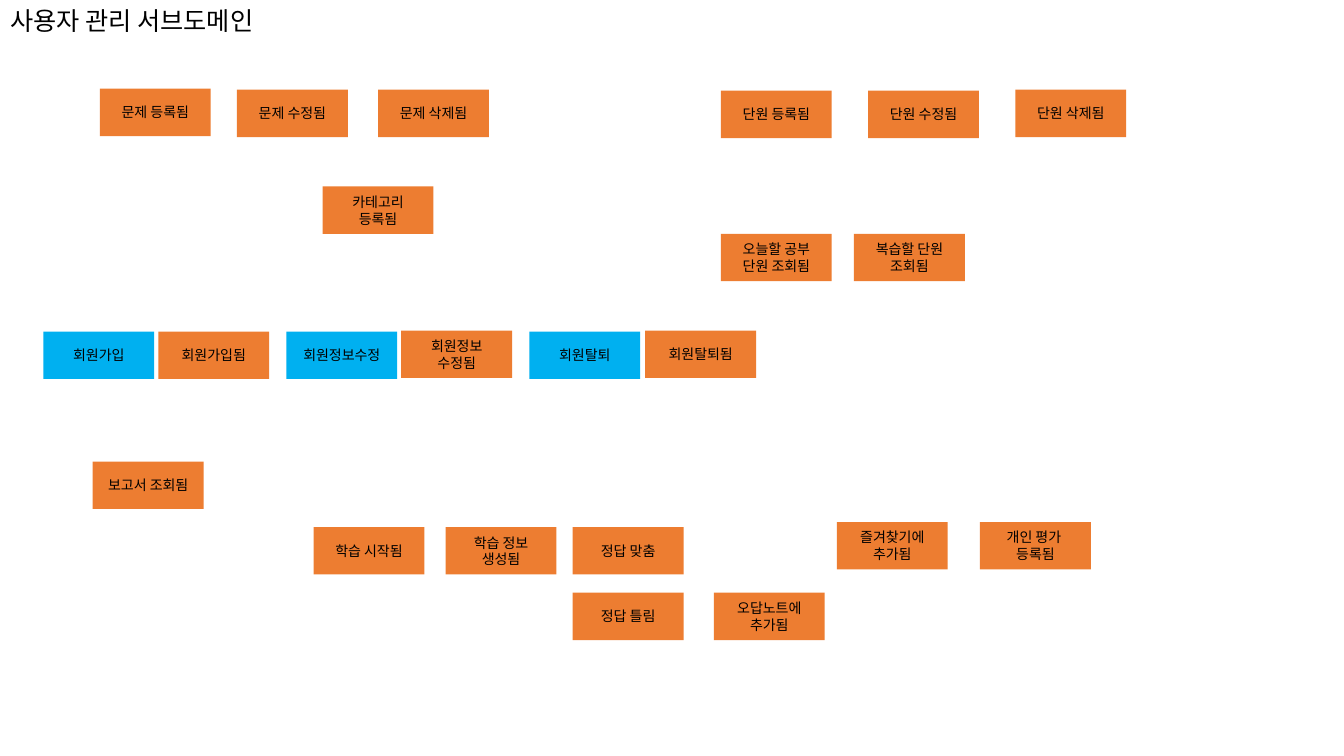
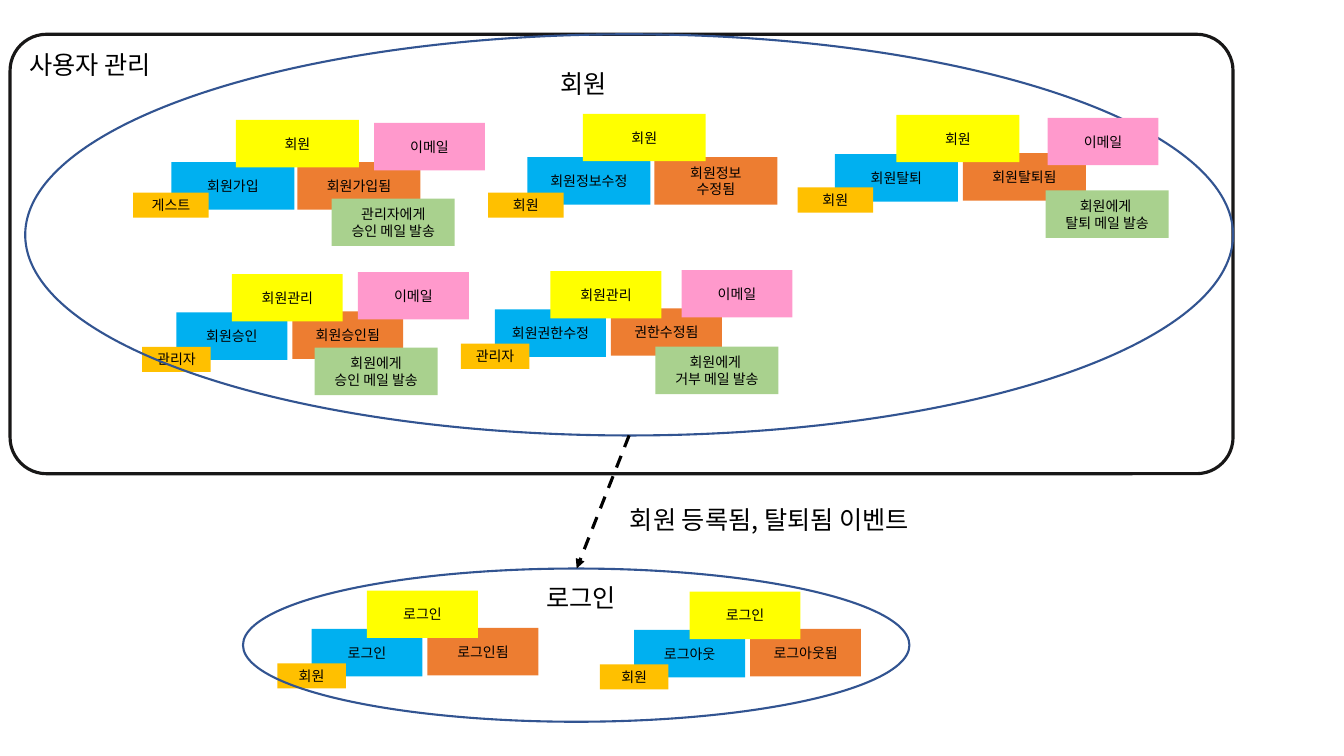
from dataclasses import dataclass

from lxml import etree
from pptx import Presentation
from pptx import util as u
from pptx.dml.color import RGBColor
from pptx.enum import dml, shapes, text
from pptx.oxml import ns


@dataclass(frozen=True)
class Theme:
    """Colours, type and sticky-note sizes shared by both slides."""
    font: str = "Noto Sans CJK KR"
    ink: str = "000000"
    event: str = "ED7D31"
    command: str = "00B0F0"
    actor: str = "FFC000"
    aggregate: str = "FFFF00"
    policy: str = "A9D18E"
    external: str = "FF99CC"
    boundary: str = "181717"
    context: str = "325491"
    heading_pt: int = 18
    note_pt: int = 10
    narrow: float = 1.1
    wide: float = 1.22
    note_height: float = 0.47
    actor_height: float = 0.25


theme = Theme()
HEADING = {"word_wrap": False, "vertical_anchor": text.MSO_ANCHOR.TOP,
           "auto_size": text.MSO_AUTO_SIZE.SHAPE_TO_FIT_TEXT}
NOTE = {"word_wrap": True, "vertical_anchor": text.MSO_ANCHOR.MIDDLE}


def write(holder, words, size, frame_format, align):
    """Fill a shape with styled text, one paragraph per line of words."""
    frame = holder.text_frame
    frame.text = words
    for attribute, value in frame_format.items():
        setattr(frame, attribute, value)
    for paragraph in frame.paragraphs:
        paragraph.alignment = align
        for run in paragraph.runs:
            for attribute, value in {"size": u.Pt(size), "name": theme.font, "bold": False}.items():
                setattr(run.font, attribute, value)
            run.font.color.rgb = RGBColor.from_string(theme.ink)
            etree.SubElement(run._r.get_or_add_rPr(), ns.qn("a:ea"), typeface=theme.font)


def add_note(parent, kind, words, left, top, width, height=theme.note_height):
    """Add a sticky note coloured by its kind."""
    note = parent.shapes.add_shape(shapes.MSO_SHAPE.RECTANGLE, *map(u.Inches, (left, top, width, height)))
    note.shadow.inherit = False
    note.fill.solid()
    note.fill.fore_color.rgb = RGBColor.from_string(getattr(theme, kind))
    note.line.fill.background()
    write(note, words, theme.note_pt, NOTE, text.PP_ALIGN.CENTER)


deck = Presentation()
deck.slide_width, deck.slide_height = u.Inches(13.33), u.Inches(7.5)
title_only = deck.slide_layouts[5]

# Both slides and their titles
slides = []
for words, left, top, width in [("사용자 관리 서브도메인", 0, 0, 2.91), ("사용자 관리", 0.19, 0.44, 1.63)]:
    slide = deck.slides.add_slide(title_only)
    title = slide.shapes.title
    title.left, title.top, title.width, title.height = map(u.Inches, (left, top, width, 0.4))
    write(title, words, theme.heading_pt, HEADING, text.PP_ALIGN.LEFT)
    slides.append(slide)
events_slide, model_slide = slides

# Slide 1: domain events and the commands behind them
event_storm = {
    "event": [
        ("문제 등록됨", 0.99, 0.88), ("문제 수정됨", 2.35, 0.89), ("문제 삭제됨", 3.75, 0.89),
        ("단원 등록됨", 7.15, 0.9), ("단원 수정됨", 8.61, 0.9), ("단원 삭제됨", 10.07, 0.89),
        ("카테고리\n등록됨", 3.2, 1.85),
        ("오늘할 공부 단원 조회됨", 7.15, 2.32), ("복습할 단원\n조회됨", 8.47, 2.32),
        ("회원가입됨", 1.57, 3.29), ("회원정보\n수정됨", 3.98, 3.28), ("회원탈퇴됨", 6.4, 3.28),
        ("보고서 조회됨", 0.92, 4.58),
        ("학습 시작됨", 3.11, 5.23), ("학습 정보\n생성됨", 4.42, 5.23), ("정답 맞춤", 5.68, 5.23),
        ("즐겨찾기에\n추가됨", 8.3, 5.18), ("개인 평가 \n등록됨", 9.72, 5.18),
        ("정답 틀림", 5.68, 5.88), ("오답노트에\n추가됨", 7.08, 5.88),
    ],
    "command": [("회원가입", 0.43, 3.29), ("회원정보수정", 2.84, 3.29), ("회원탈퇴", 5.25, 3.29)],
}
for kind, notes in event_storm.items():
    for words, left, top in notes:
        add_note(events_slide, kind, words, left, top, theme.narrow)

# Slide 2: clusters, each placed by its command; offsets are for event, actor and aggregate
compact = [(1.15, -0.01), (-0.34, 0.34), (0.55, -0.38)]
clusters = [
    (1.7, 1.61, theme.wide, 0.75, [(1.25, 0), (-0.38, 0.3), (0.64, -0.42)],
     ("회원가입", "회원가입됨", "게스트", "회원")),
    (5.23, 1.56, theme.wide, 0.75, [(1.26, 0), (-0.39, 0.35), (0.55, -0.43)],
     ("회원정보수정", "회원정보\n수정됨", "회원", "회원")),
    (8.28, 1.53, theme.wide, 0.75, [(1.27, -0.01), (-0.37, 0.33), (0.61, -0.39)],
     ("회원탈퇴", "회원탈퇴됨", "회원", "회원")),
    (1.75, 3.1, theme.narrow, 0.68, compact, ("회원승인", "회원승인됨", "관리자", "회원관리")),
    (3.09, 6.24, theme.narrow, 0.68, compact, ("로그인", "로그인됨", "회원", "로그인")),
    (6.29, 6.25, theme.narrow, 0.68, compact, ("로그아웃", "로그아웃됨", "회원", "로그인")),
    (4.91, 3.07, theme.narrow, 0.68, compact, ("회원권한수정", "권한수정됨", "관리자", "회원관리")),
]
for left, top, note_width, actor_width, offsets, (command, event, actor, aggregate) in clusters:
    cluster = model_slide.shapes.add_group_shape()
    (event_x, event_y), (actor_x, actor_y), (aggregate_x, aggregate_y) = offsets
    add_note(cluster, "event", event, left + event_x, top + event_y, note_width)
    add_note(cluster, "command", command, left, top, note_width)
    add_note(cluster, "actor", actor, left + actor_x, top + actor_y, actor_width, theme.actor_height)
    add_note(cluster, "aggregate", aggregate, left + aggregate_x, top + aggregate_y, note_width)

# Policies sit under the context outline
for words, left, top in [("관리자에게\n승인 메일 발송", 3.29, 1.97), ("회원에게\n승인 메일 발송", 3.12, 3.45),
                         ("회원에게 \n거부 메일 발송", 6.5, 3.44)]:
    add_note(model_slide, "policy", words, left, top, theme.wide)

# Subdomain boundary and the two contexts
outlines = [
    (shapes.MSO_SHAPE.ROUNDED_RECTANGLE, "boundary", 2.25, (0.1, 0.34, 12.13, 4.36)),
    (shapes.MSO_SHAPE.OVAL, "context", 1.5, (2.41, 5.64, 6.61, 1.52)),
    (shapes.MSO_SHAPE.OVAL, "context", 1.5, (0.25, 0.34, 11.98, 3.98)),
]
for preset, colour, weight, box in outlines:
    outline = model_slide.shapes.add_shape(preset, *map(u.Inches, box))
    outline.shadow.inherit = False
    outline.fill.background()
    outline.line.color.rgb = RGBColor.from_string(getattr(theme, colour))
    outline.line.width = u.Pt(weight)
    if preset == shapes.MSO_SHAPE.ROUNDED_RECTANGLE:
        outline.adjustments[0] = 0.083

for words, left, top, width in [("로그인", 5.32, 5.73, 0.96), ("회원", 5.46, 0.63, 0.71),
                                ("회원 등록됨, 탈퇴됨 이벤트", 6.15, 4.95, 3.3)]:
    heading = model_slide.shapes.add_textbox(*map(u.Inches, (left, top, width, 0.4)))
    write(heading, words, theme.heading_pt, HEADING, text.PP_ALIGN.LEFT)

# Event flow from the member context to the login context
event_flow = model_slide.shapes.add_connector(
    shapes.MSO_CONNECTOR.STRAIGHT, *map(u.Inches, (6.24, 4.32, 5.72, 5.64)))
event_flow.line.color.rgb = RGBColor.from_string(theme.ink)
for attribute, value in {"width": u.Pt(2.25), "dash_style": dml.MSO_LINE.DASH}.items():
    setattr(event_flow.line, attribute, value)
flow_properties = event_flow._element.spPr
etree.SubElement(flow_properties.find(ns.qn("a:ln")), ns.qn("a:tailEnd"), type="triangle")
etree.SubElement(flow_properties, ns.qn("a:effectLst"))

# External mail system and the withdrawal policy lie on top
for left, top in [(6.76, 2.68), (3.55, 2.7), (10.39, 1.17), (3.71, 1.22)]:
    add_note(model_slide, "external", "이메일", left, top, theme.narrow)
add_note(model_slide, "policy", "회원에게 \n탈퇴 메일 발송", 10.37, 1.89, theme.wide)

deck.save("out.pptx")
